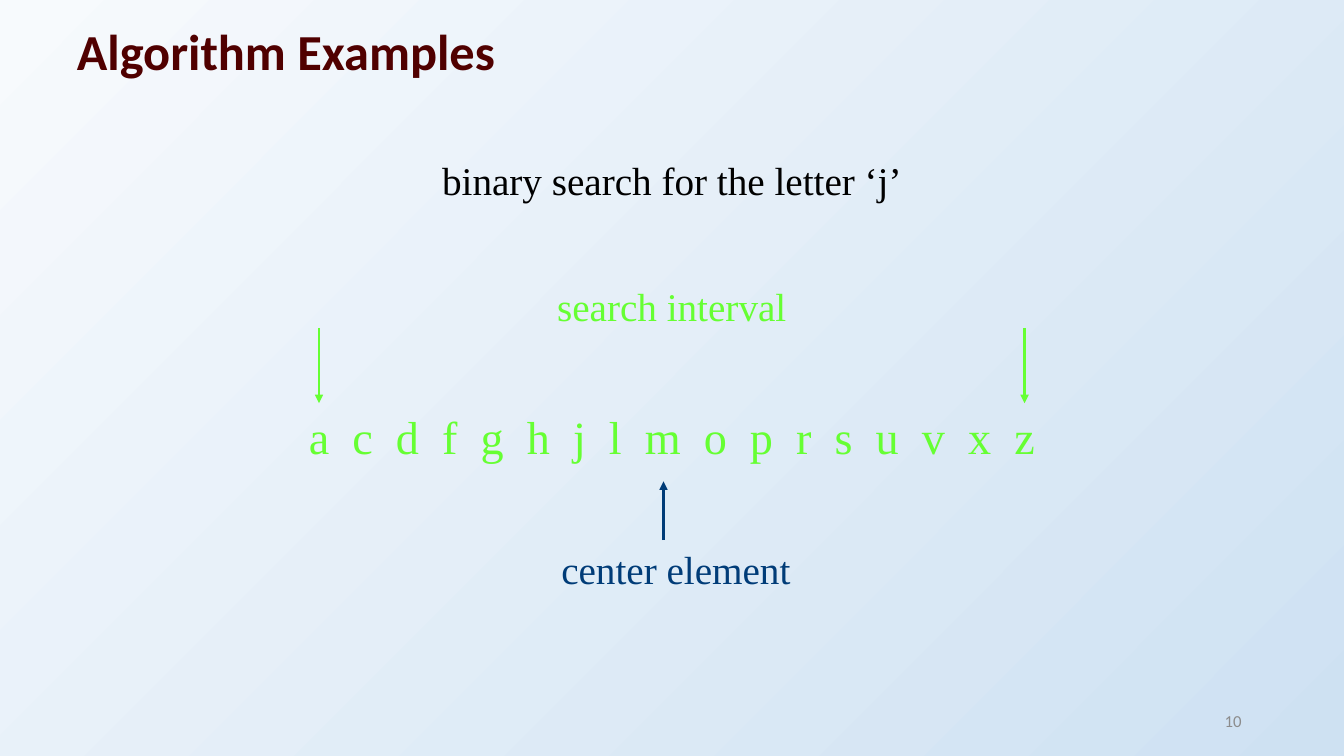
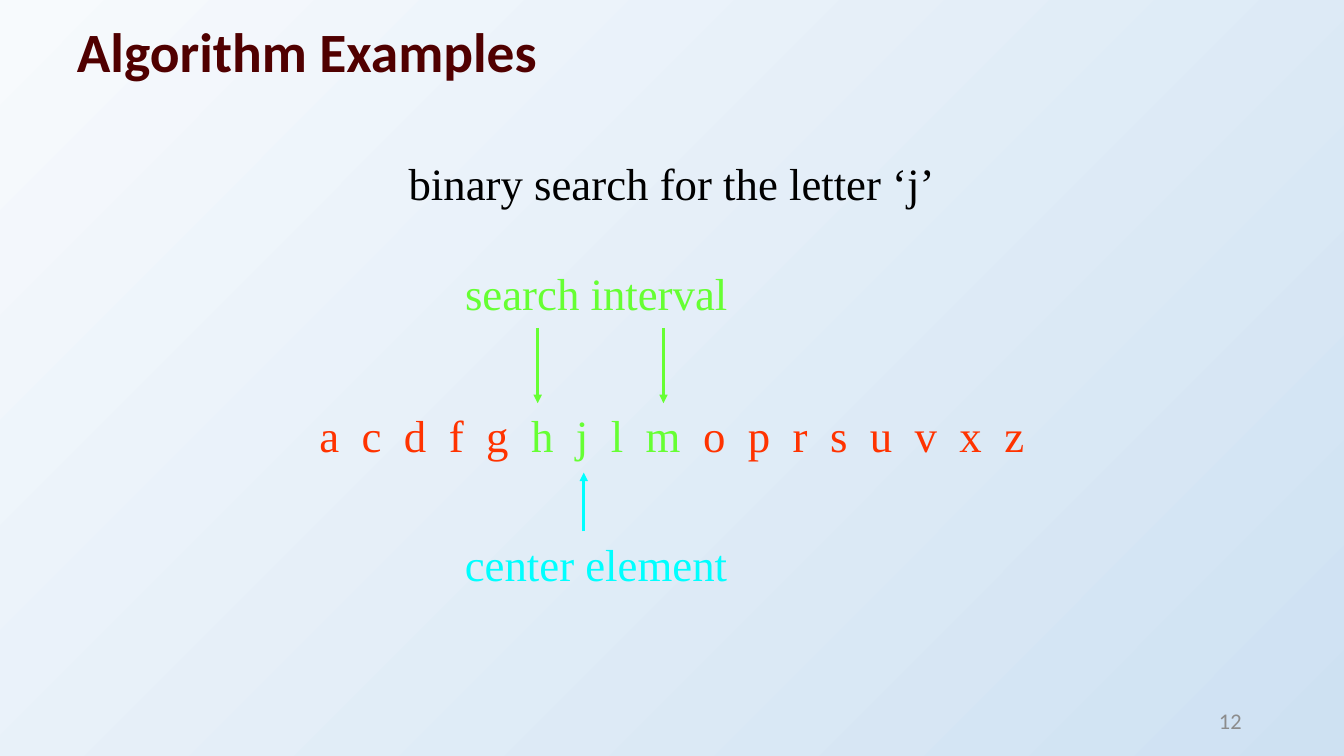
from lxml import etree
from pptx import Presentation
from pptx import util as u
from pptx.dml.color import RGBColor
from pptx.enum import shapes, text
from pptx.oxml.ns import qn

COLORS = {
    "light": "F7FAFD",
    "shade": "CEE1F2",
    "title": "500000",
    "number": "8C8C8C",
    "query": "000000",
    "inside": "66FF33",
    "outside": "FF3300",
    "navy": "003C78",
    "cyan": "00FFFF",
}
HEADING = "Calibri"
BODY = "Times New Roman"
LETTERS = "acdfghjlmoprsuvxz"
COLUMN_LEFT, COLUMN_WIDTH = 6.56, 20.75
QUERY_TOP, LETTERS_TOP = 3.81, 10.16
INTERVAL_ARROW_TOP = 8.26
CENTER_ARROW_LENGTH = 1.48


def rgb(name):
    return RGBColor.from_string(COLORS[name])


def spaced(letters):
    return "  ".join(letters)


class Deck:
    def __init__(self):
        self.presentation = Presentation()
        self.presentation.slide_width = u.Cm(33.87)
        self.presentation.slide_height = u.Cm(19.05)
        self.slide = None

    def add_slide(self, title, title_size, number, number_size):
        self.slide = self.presentation.slides.add_slide(self.presentation.slide_layouts[6])
        fill = self.slide.background.fill
        fill.gradient()
        fill.gradient_angle = 315
        for stop, color in zip(fill.gradient_stops, ("light", "shade")):
            stop.color.rgb = rgb(color)
        heading = self.add_text(1.69, 0.42, 26.04, 1.9, [(title, "title")], title_size,
                                HEADING, text.PP_ALIGN.LEFT, True)
        heading.line_spacing = 0.9
        self.add_text(23.92, 17.65, 7.62, 1.02, [(number, "number")], number_size,
                      HEADING, text.PP_ALIGN.RIGHT)

    def add_text(self, left, top, width, height, runs, size, font, align, bold=False):
        box = self.slide.shapes.add_textbox(u.Cm(left), u.Cm(top), u.Cm(width), u.Cm(height))
        frame = box.text_frame
        frame.word_wrap = True
        frame.vertical_anchor = text.MSO_ANCHOR.MIDDLE
        paragraph = frame.paragraphs[0]
        paragraph.alignment = align
        for content, color in runs:
            run = paragraph.add_run()
            run.text = content
            run.font.name = font
            run.font.size = u.Pt(size)
            run.font.bold = bold
            run.font.color.rgb = rgb(color)
        return paragraph

    def add_label(self, left, top, width, runs, size):
        height = 1.45 if size < 30 else 1.63
        paragraph = self.add_text(left, top, width, height, runs, size, BODY,
                                  text.PP_ALIGN.CENTER)
        frame = self.slide.shapes[-1].text_frame
        frame.vertical_anchor = text.MSO_ANCHOR.TOP
        frame.auto_size = text.MSO_AUTO_SIZE.SHAPE_TO_FIT_TEXT
        properties = paragraph._p.get_or_add_pPr()
        before = etree.SubElement(properties, qn("a:spcBef"))
        etree.SubElement(before, qn("a:spcPct"), val="50000")

    def add_arrow(self, x, start, end, color):
        arrow = self.slide.shapes.add_connector(
            shapes.MSO_CONNECTOR.STRAIGHT, u.Cm(x), u.Cm(start), u.Cm(x), u.Cm(end))
        arrow.line.color.rgb = rgb(color)
        arrow.line.width = u.Pt(2)
        etree.SubElement(arrow.line._get_or_add_ln(), qn("a:tailEnd"), type="triangle")
        etree.SubElement(arrow._element.spPr, qn("a:effectLst"))

    def add_query(self, size):
        self.add_label(COLUMN_LEFT, QUERY_TOP, COLUMN_WIDTH,
                       [("binary search for the letter ‘j’", "query")], size)

    def add_letters(self, runs, size):
        self.add_label(COLUMN_LEFT, LETTERS_TOP, COLUMN_WIDTH, runs, size)

    def add_interval(self, left, top, size, ends):
        self.add_label(left, top, 7.62, [("search interval", "inside")], size)
        for x in ends:
            self.add_arrow(x, INTERVAL_ARROW_TOP, LETTERS_TOP, "inside")

    def add_center(self, x, top, size, color):
        self.add_label(x - 3.6, top, 7.83, [("center element", color)], size)
        self.add_arrow(x, top, top - CENTER_ARROW_LENGTH, color)


def main():
    deck = Deck()

    deck.add_slide("Algorithm Examples", 36, "10", 12)
    deck.add_query(28)
    deck.add_letters([(spaced(LETTERS), "inside")], 33)
    deck.add_interval(13.12, 6.98, 28, (8.04, 25.82))
    deck.add_center(16.72, 13.61, 28, "navy")

    deck.add_slide("Algorithm Examples", 39.6, "12", 16)
    deck.add_query(32)
    deck.add_letters([
        (spaced(LETTERS[:5]), "outside"),
        (f"  {spaced(LETTERS[5:9])}  ", "inside"),
        (spaced(LETTERS[9:]), "outside"),
    ], 32)
    deck.add_interval(11.22, 6.56, 32, (13.55, 16.72))
    deck.add_center(14.71, 13.39, 32, "cyan")

    deck.presentation.save("out.pptx")


if __name__ == "__main__":
    main()
